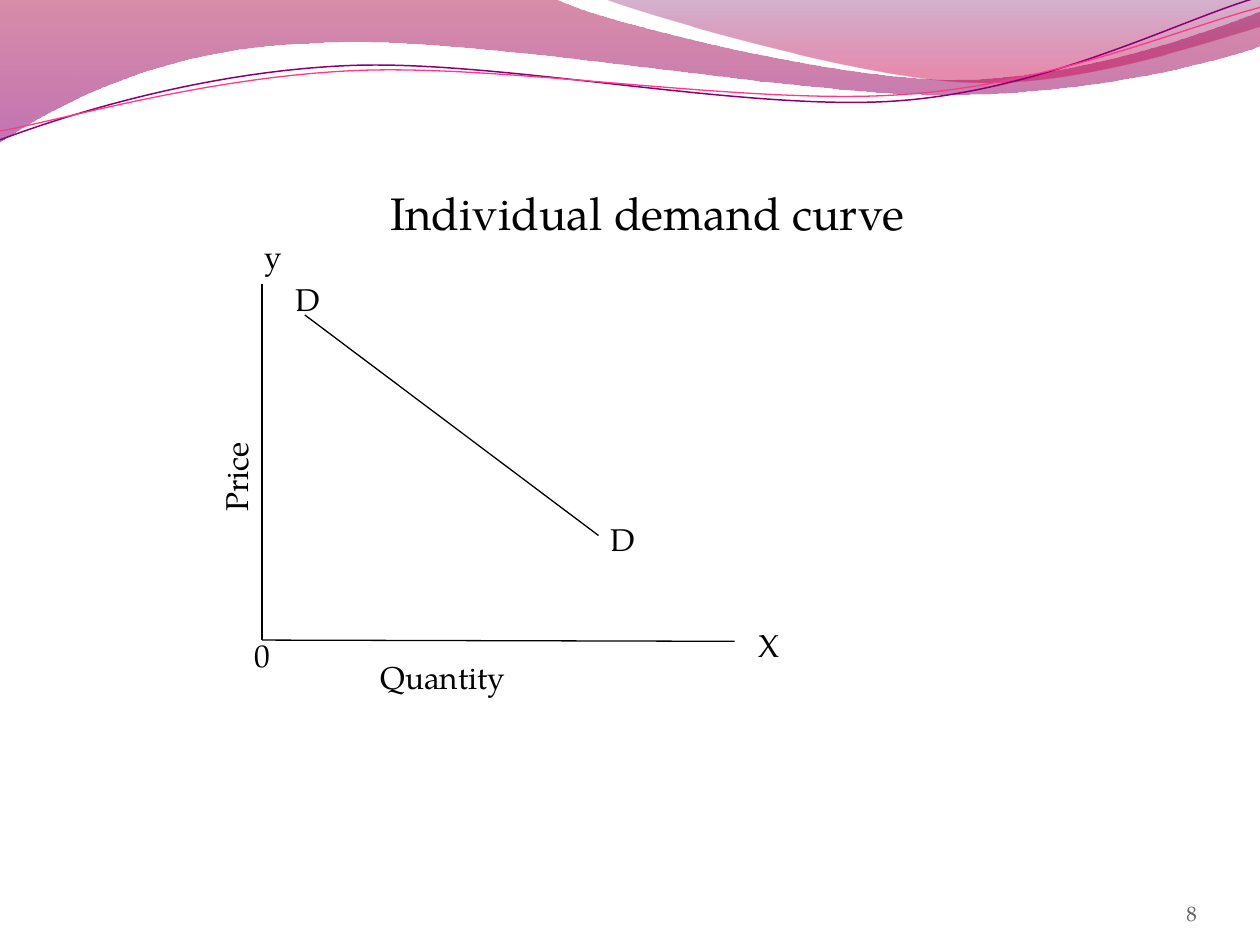
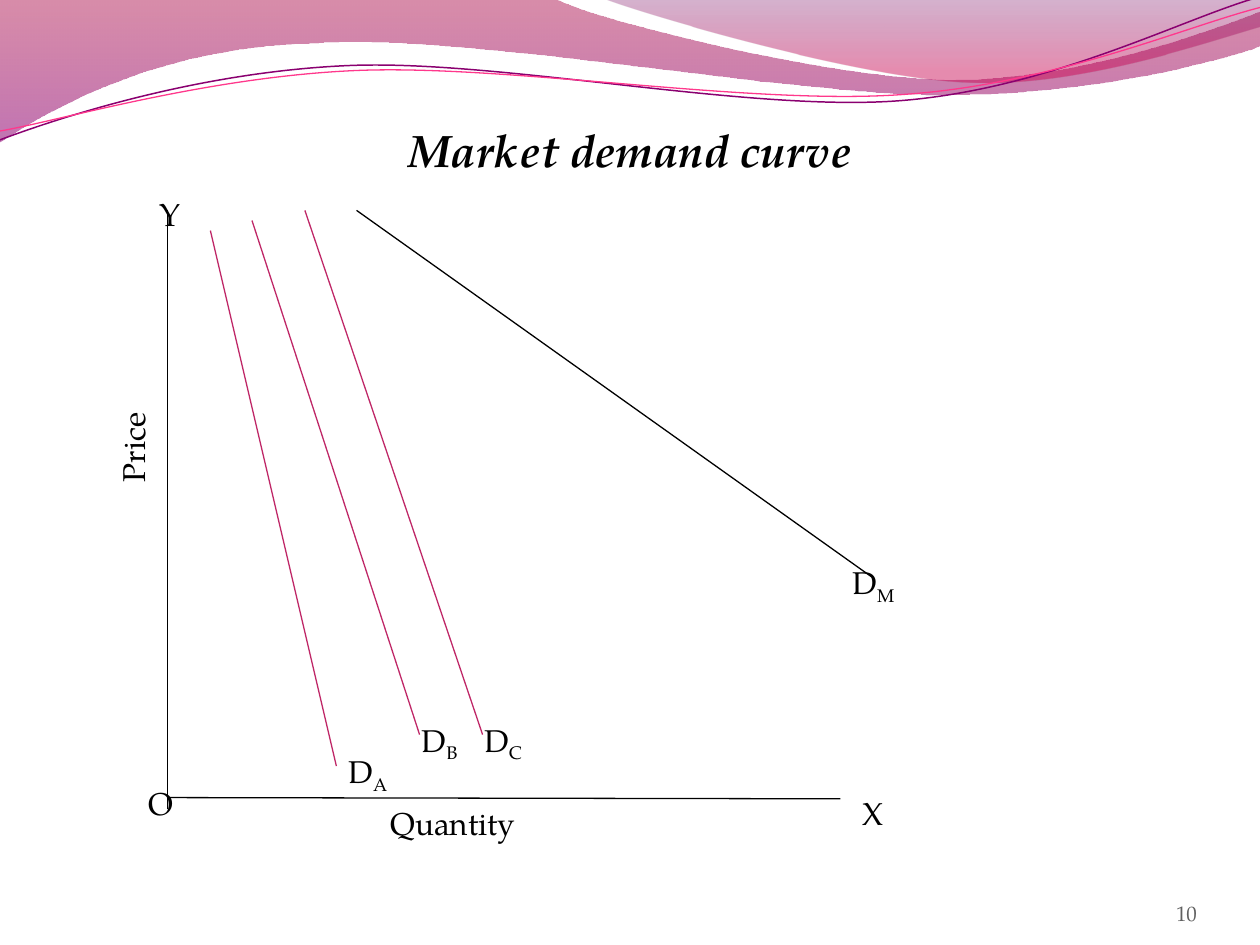
import math
from dataclasses import dataclass

from lxml import etree
from pptx import Presentation
from pptx import util as u
from pptx.dml.color import RGBColor
from pptx.enum import shapes, text
from pptx.oxml.ns import qn
from pptx.slide import Slide, SlideLayout

FONT = "TeX Gyre Pagella"
BLACK, GREY, CRIMSON = "000000", "616161", "BF2767"
TITLE_BOTTOM = 6.92
WAVE_TILT = -2.7

Point = tuple[float, float]


@dataclass
class Stop:
    position: float
    color: str
    opacity: int


@dataclass
class Wave:
    """An outline of cubic curves and straight lines: filled, or stroked and tilted."""
    start: Point
    segments: list[tuple[float, ...]]
    stops: tuple[Stop, ...] = ()
    color: str = BLACK
    weight: float = 0.75
    pivot: Point = (0, 0)


@dataclass
class Line:
    start: Point
    end: Point
    color: str = BLACK


@dataclass
class Label:
    text: str
    left: float
    top: float
    width: float
    subscript: str = ""
    rotation: int = 0


@dataclass
class Diagram:
    title: str
    title_top: float
    number: str
    lines: list[Line]
    labels: list[Label]
    title_inset: float = 0.1
    emphasis: bool = False


WAVES = [
    Wave((0, 0), [(4.4, -0.01),
                  (4.76, 0.17, 6.64, 0.63, 7.58, 0.63),
                  (8.53, 0.63, 9.58, 0.26, 10, 0.09),
                  (10.01, 0.36),
                  (9.83, 0.44, 8.7, 0.76, 7.46, 0.75),
                  (6.22, 0.75, 3.82, 0.28, 2.57, 0.34),
                  (1.29, 0.36, 0.46, 0.83, -0.01, 1.13),
                  (0, 0)],
         stops=(Stop(0, "A90042", 45), Stop(1, "8E0073", 55))),
    Wave((4.79, -0.01), [(5.09, 0.11, 6.82, 0.62, 7.69, 0.65),
                         (8.56, 0.69, 9.61, 0.32, 10, 0.21),
                         (10, 0),
                         (4.79, -0.01)],
         stops=(Stop(0, "73005E", 30), Stop(0.8, "C9004F", 45))),
    Wave((0, 1.11), [(0.48, 0.93, 1.58, 0.57, 2.77, 0.52),
                     (3.95, 0.47, 5.93, 0.89, 7.13, 0.8),
                     (8.33, 0.71, 9.38, 0.15, 9.98, -0.02)],
         color="8A0070", weight=0.85, pivot=(4.99, 0.58)),
    Wave((0, 1.04), [(0.47, 0.96, 1.64, 0.61, 2.83, 0.56),
                     (4.03, 0.51, 5.97, 0.84, 7.17, 0.75),
                     (8.36, 0.67, 9.41, 0.21, 10, 0.06)],
         color="FF388C", pivot=(5, 0.59)),
]

DIAGRAMS = [
    Diagram(
        "Individual demand curve", 1.42, "8", title_inset=0.38,
        lines=[
            Line((2.08, 2.25), (2.08, 5.08)),
            Line((2.08, 5.08), (5.83, 5.09)),
            Line((2.42, 2.5), (4.75, 4.25)),
        ],
        labels=[
            Label("y", 2, 1.83, 0.33),
            Label("0", 1.92, 5, 0.29),
            Label("X", 5.92, 4.92, 0.2),
            Label("D", 2.25, 2.17, 0.67),
            Label("D", 4.75, 4.08, 0.45),
            Label("Price", 1.16, 3.25, 1.42, rotation=270),
            Label("Quantity", 2.92, 5.17, 1.83),
        ]),
    Diagram(
        "Market demand curve", 0.92, "10", emphasis=True,
        lines=[
            Line((1.33, 1.67), (1.33, 6.42)),
            Line((1.33, 6.33), (6.67, 6.34)),
            Line((1.67, 1.83), (2.67, 6.08), CRIMSON),
            Line((2, 1.75), (3.33, 5.83), CRIMSON),
            Line((2.42, 1.67), (3.83, 5.83), CRIMSON),
            Line((2.83, 1.67), (6.92, 4.58)),
        ],
        labels=[
            Label("D", 2.67, 5.92, 0.58, "A"),
            Label("D", 3.25, 5.67, 0.79, "B"),
            Label("D", 3.75, 5.67, 0.67, "C"),
            Label("D", 6.67, 4.42, 0.92, "M"),
            Label("X", 6.75, 6.25, 1.45),
            Label("O", 1.08, 6.17, 0.37),
            Label("Y", 1.17, 1.5, 0.25),
            Label("Price", 0.41, 3.08, 1.29, rotation=270),
            Label("Quantity", 3, 6.33, 1.42),
        ]),
]


def rgb(color: str) -> RGBColor:
    return RGBColor.from_string(color)


def add_span(para, words: str, size: float = 18, color: str = BLACK,
             bold: bool = False, italic: bool = False, baseline: int = 0) -> None:
    span = para.add_run()
    span.text = words
    font = span.font
    font.name, font.size = FONT, u.Pt(size)
    font.bold, font.italic = bold, italic
    font.color.rgb = rgb(color)
    if baseline:
        span._r.get_or_add_rPr().set("baseline", str(baseline * 1000))


def turn(point: Point, pivot: Point, degrees: float) -> Point:
    angle = math.radians(degrees)
    dx, dy = point[0] - pivot[0], point[1] - pivot[1]
    return (pivot[0] + dx * math.cos(angle) - dy * math.sin(angle),
            pivot[1] + dx * math.sin(angle) + dy * math.cos(angle))


def bend_segments(shape, segments: list[tuple[float, ...]]) -> None:
    """Merge each three line nodes that stand for a cubic curve into one curve node."""
    nodes = iter(list(shape.element.spPr.iter(qn("a:lnTo"))))
    for segment in segments:
        node = next(nodes)
        if len(segment) == 6:
            node.addprevious(curve := etree.Element(qn("a:cubicBezTo")))
            for corner in (node, next(nodes), next(nodes)):
                curve.append(corner[0])
                corner.getparent().remove(corner)


def draw_wave(page: Slide, wave: Wave):
    tilt = 0 if wave.stops else WAVE_TILT
    corners = [wave.start] + [s[i:i + 2] for s in wave.segments for i in range(0, len(s), 2)]
    first, *rest = [tuple(map(u.Inches, turn(corner, wave.pivot, -tilt)))
                    for corner in corners]
    builder = page.shapes.build_freeform(*first, scale=1.0)
    builder.add_line_segments(rest, close=bool(wave.stops))
    shape = builder.convert_to_shape()
    bend_segments(shape, wave.segments)
    shape.rotation = tilt
    shape.shadow.inherit = False
    if not wave.stops:
        shape.fill.background()
        shape.line.color.rgb = rgb(wave.color)
        shape.line.width = u.Pt(wave.weight)
        return shape
    shape.line.fill.background()
    shape.fill.gradient()
    shape.fill.gradient_angle = 270
    for target, stop in zip(shape.fill.gradient_stops, wave.stops):
        target.position = stop.position
        target.color.rgb = rgb(stop.color)
    for node, stop in zip(shape.element.spPr.iter(qn("a:srgbClr")), wave.stops):
        etree.SubElement(node, qn("a:alpha"), val=str(stop.opacity * 1000))
    return shape


def move_waves_to_layout(page: Slide, layout: SlideLayout) -> None:
    """Draw the waves on a page, then hand them to the layout all pages share."""
    for number, wave in enumerate(WAVES, start=101):
        element = draw_wave(page, wave).element
        element.nvSpPr.cNvPr.set("id", str(number))
        layout.shapes.element.append(element)


def set_title(page: Slide, diagram: Diagram) -> None:
    box = page.shapes.title
    box.left, box.top = u.Inches(0.5), u.Inches(diagram.title_top)
    box.width, box.height = u.Inches(9), u.Inches(TITLE_BOTTOM - diagram.title_top)
    frame = box.text_frame
    frame.auto_size = text.MSO_AUTO_SIZE.NONE
    frame.vertical_anchor = text.MSO_ANCHOR.TOP
    frame.margin_left = u.Inches(diagram.title_inset)
    para = frame.paragraphs[0]
    para.alignment = text.PP_ALIGN.CENTER
    add_span(para, diagram.title, size=26, bold=diagram.emphasis, italic=diagram.emphasis)


def draw_line(page: Slide, line: Line) -> None:
    ends = [u.Inches(value) for value in (*line.start, *line.end)]
    connector = page.shapes.add_connector(shapes.MSO_CONNECTOR.STRAIGHT, *ends)
    connector.line.color.rgb = rgb(line.color)
    connector.line.width = u.Pt(0.75)
    etree.SubElement(connector.element.spPr, qn("a:effectLst"))


def add_text_box(page: Slide, left: float, top: float, width: float):
    box = page.shapes.add_textbox(*map(u.Inches, (left, top, width, 0.4)))
    box.text_frame.word_wrap = True
    return box


def draw_label(page: Slide, label: Label) -> None:
    box = add_text_box(page, label.left, label.top, label.width)
    box.rotation = label.rotation
    box.text_frame.auto_size = text.MSO_AUTO_SIZE.SHAPE_TO_FIT_TEXT
    para = box.text_frame.paragraphs[0]
    add_span(para, label.text)
    if label.subscript:
        add_span(para, label.subscript, baseline=-25)


def draw_page_number(page: Slide, number: str) -> None:
    frame = add_text_box(page, 8.67, 6.95, 0.83).text_frame
    frame.margin_left = frame.margin_top = frame.margin_right = frame.margin_bottom = 0
    frame.vertical_anchor = text.MSO_ANCHOR.BOTTOM
    para = frame.paragraphs[0]
    para.alignment = text.PP_ALIGN.RIGHT
    add_span(para, number, size=12, color=GREY)


def draw_diagram(page: Slide, diagram: Diagram) -> None:
    set_title(page, diagram)
    for line in diagram.lines:
        draw_line(page, line)
    for label in diagram.labels:
        draw_label(page, label)
    draw_page_number(page, diagram.number)


def main() -> None:
    deck = Presentation()
    deck.slide_width, deck.slide_height = u.Inches(10), u.Inches(7.5)
    layout = deck.slide_layouts.get_by_name("Title Only")
    pages = [deck.slides.add_slide(layout) for _ in DIAGRAMS]
    move_waves_to_layout(pages[0], layout)
    for page, diagram in zip(pages, DIAGRAMS):
        draw_diagram(page, diagram)
    deck.save("out.pptx")


if __name__ == "__main__":
    main()
